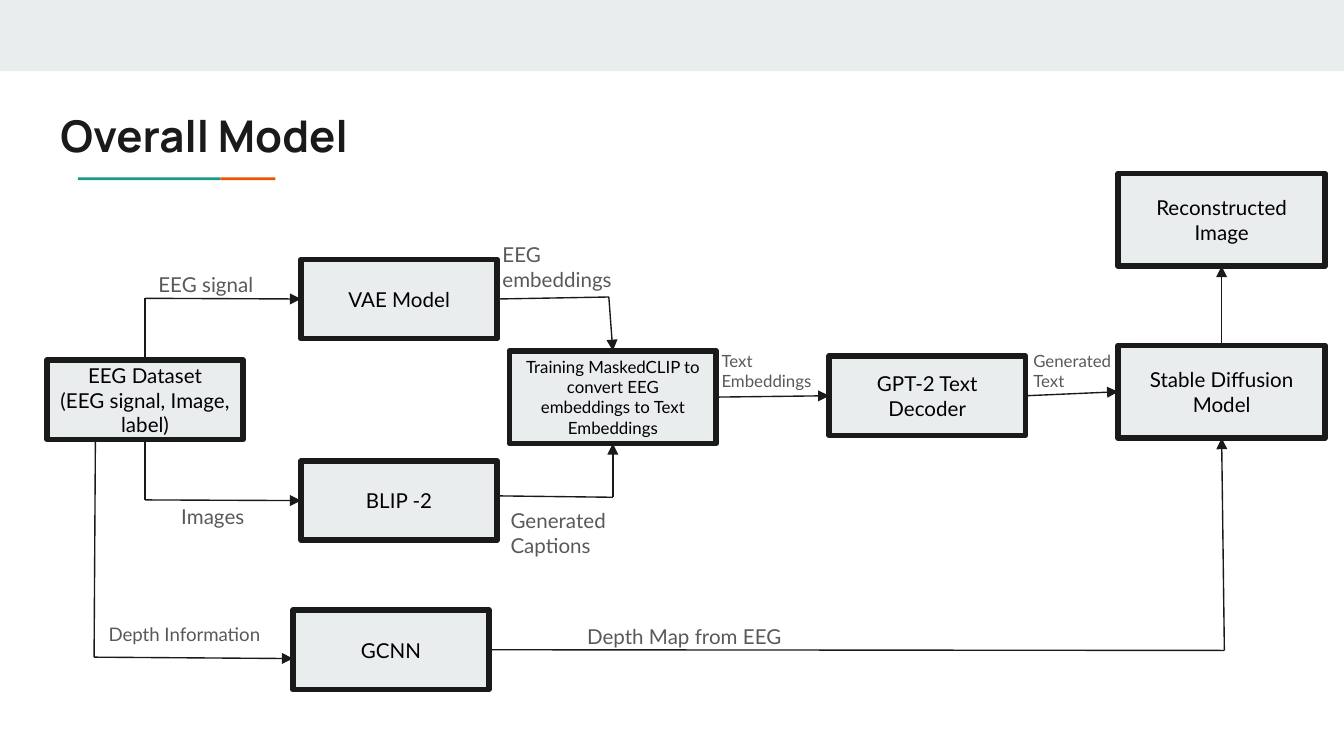
from dataclasses import dataclass
from typing import Optional, Union

from lxml import etree
from pptx import Presentation
from pptx.dml.color import RGBColor
from pptx.enum.shapes import MSO_CONNECTOR, MSO_SHAPE
from pptx.enum.text import MSO_ANCHOR, PP_ALIGN
from pptx.oxml.ns import qn
from pptx.util import Inches, Pt

RECTANGLE = MSO_SHAPE.RECTANGLE
STRAIGHT = MSO_CONNECTOR.STRAIGHT
MIDDLE, TOP_ANCHOR = MSO_ANCHOR.MIDDLE, MSO_ANCHOR.TOP
LEFT_ALIGN, CENTER = PP_ALIGN.LEFT, PP_ALIGN.CENTER
TOP, LEFT, BOTTOM, RIGHT = range(4)  # connection sites of a rectangle


@dataclass(frozen=True)
class Theme:
    ink: str = "1A1A1A"
    panel: str = "E9EDEE"
    box_text: str = "000000"
    label_text: str = "595959"
    green: str = "1A9988"
    orange: str = "EB5600"
    heading_font: str = "Manrope"
    body_font: str = "Lato"
    heading_size: float = 23.4
    body_size: float = 11
    medium_size: float = 10
    small_size: float = 9
    border: float = 3
    wire: float = 0.75


THEME = Theme()


@dataclass(frozen=True)
class Box:
    text: str
    left: float
    top: float
    width: float = 1.46
    height: float = 0.59
    size: float = THEME.body_size


@dataclass(frozen=True)
class Label:
    text: str
    left: float
    top: float
    width: float
    height: float = 0.23
    size: float = THEME.body_size


@dataclass(frozen=True)
class Port:
    box: str
    side: int


@dataclass(frozen=True)
class Point:
    x: float
    y: float


@dataclass(frozen=True)
class Wire:
    start: Union[Port, Point]
    end: Union[Port, Point]
    arrow: bool = False


WIDE = {"width": 1.54, "height": 0.69}
BOXES = {
    "dataset": Box("EEG Dataset\n(EEG signal, Image, label)", 0.35, 2.68),
    "vae": Box("VAE Model", 2.24, 1.93),
    "blip": Box("BLIP -2", 2.24, 3.43),
    "gcnn": Box("GCNN", 2.18, 4.54),
    "clip": Box("Training MaskedCLIP to convert EEG embeddings to Text Embeddings",
                3.79, 2.61, size=THEME.small_size, **WIDE),
    "decoder": Box("GPT-2 Text Decoder", 6.17, 2.65),
    "diffusion": Box("Stable Diffusion Model", 8.32, 2.57, **WIDE),
    "result": Box("Reconstructed Image", 8.32, 1.29, **WIDE),
}

LABELS = [
    Label("EEG signal", 1.08, 1.93, 1.29),
    Label("Images", 1.25, 3.66, 1.29),
    Label("EEG embeddings", 3.64, 1.7, 1.1),
    Label("Generated Captions", 3.7, 3.68, 1.38),
    Label("Generated Text", 7.59, 2.51, 0.9, size=THEME.small_size),
    Label("Depth Map from EEG", 4.27, 4.55, 1.76),
    Label("Depth Information", 0.71, 4.55, 1.76, size=THEME.medium_size),
    Label("Text Embeddings", 5.27, 2.51, 0.95, 0.35, THEME.small_size),
]

# Corners where the routes turn
SIGNAL_TURN = Point(1.08, 2.22)
IMAGE_TURN = Point(1.08, 3.72)
DEPTH_TURN = Point(0.7, 4.89)
EMBEDDING_TURN = Point(4.53, 2.21)
CAPTION_TURN = Point(4.56, 3.7)
MAP_TURN = Point(9.11, 4.84)

WIRES = [
    Wire(Port("dataset", TOP), SIGNAL_TURN),
    Wire(SIGNAL_TURN, Port("vae", LEFT), True),
    Wire(Port("dataset", BOTTOM), IMAGE_TURN),
    Wire(IMAGE_TURN, Port("blip", LEFT), True),
    Wire(Point(0.71, 3.26), DEPTH_TURN),
    Wire(DEPTH_TURN, Point(2.18, 4.9), True),
    Wire(Port("vae", RIGHT), EMBEDDING_TURN),
    Wire(EMBEDDING_TURN, Port("clip", TOP), True),
    Wire(Point(3.71, 3.69), CAPTION_TURN),
    Wire(CAPTION_TURN, Port("clip", BOTTOM), True),
    Wire(Port("gcnn", RIGHT), MAP_TURN),
    Wire(MAP_TURN, Port("diffusion", BOTTOM), True),
    Wire(Port("clip", RIGHT), Port("decoder", LEFT), True),
    Wire(Port("decoder", RIGHT), Port("diffusion", LEFT), True),
    Wire(Port("diffusion", TOP), Port("result", BOTTOM), True),
]


def color(code: str) -> RGBColor:
    return RGBColor.from_string(code)


def write(shape, text: str, size: float, ink: str, font: str = THEME.body_font,
          bold: bool = False, align=LEFT_ALIGN, anchor=TOP_ANCHOR) -> None:
    frame = shape.text_frame
    frame.word_wrap = True
    frame.vertical_anchor = anchor
    frame.margin_left = frame.margin_right = Inches(0.1)
    frame.margin_top = frame.margin_bottom = Inches(0.1)
    para = frame.paragraphs[0]
    para.text = text
    para.alignment = align
    para.font.name, para.font.size, para.font.bold = font, Pt(size), bold
    para.font.color.rgb = color(ink)


def add_panel(page, left: float, top: float, width: float, height: float,
              fill: str, border: Optional[str] = None):
    panel = page.shapes.add_shape(RECTANGLE, Inches(left), Inches(top),
                                  Inches(width), Inches(height))
    panel.shadow.inherit = False
    panel.fill.solid()
    panel.fill.fore_color.rgb = color(fill)
    if border:
        panel.line.color.rgb = color(border)
        panel.line.width = Pt(THEME.border)
    else:
        panel.line.fill.background()
    return panel


def add_box(page, box: Box):
    shape = add_panel(page, box.left, box.top, box.width, box.height, THEME.panel, THEME.ink)
    write(shape, box.text, box.size, THEME.box_text, align=CENTER, anchor=MIDDLE)
    return shape


def add_label(page, label: Label) -> None:
    shape = page.shapes.add_textbox(Inches(label.left), Inches(label.top),
                                    Inches(label.width), Inches(label.height))
    write(shape, label.text, label.size, THEME.label_text)


def locate(end: Union[Port, Point]) -> Point:
    if isinstance(end, Point):
        return end
    box = BOXES[end.box]
    across, down = {TOP: (0.5, 0), LEFT: (0, 0.5), BOTTOM: (0.5, 1), RIGHT: (1, 0.5)}[end.side]
    return Point(box.left + across * box.width, box.top + down * box.height)


def add_wire(page, wire: Wire, shapes: dict) -> None:
    start, end = locate(wire.start), locate(wire.end)
    line = page.shapes.add_connector(STRAIGHT, Inches(start.x), Inches(start.y),
                                     Inches(end.x), Inches(end.y))
    if isinstance(wire.start, Port):
        line.begin_connect(shapes[wire.start.box], wire.start.side)
    if isinstance(wire.end, Port):
        line.end_connect(shapes[wire.end.box], wire.end.side)
    line.line.color.rgb = color(THEME.ink)
    line.line.width = Pt(THEME.wire)
    properties = line._element.spPr
    if wire.arrow:
        etree.SubElement(properties.find(qn("a:ln")), qn("a:tailEnd"), type="triangle")
    etree.SubElement(properties, qn("a:effectLst"))


def main() -> None:
    deck = Presentation()
    deck.slide_width = Inches(10)
    deck.slide_height = Inches(10 * 9 / 16)  # widescreen
    page = deck.slides.add_slide(deck.slide_layouts[6])

    # Top band, title and two-colour underline
    add_panel(page, 0, 0, 10, 0.53, THEME.panel)
    title = page.shapes.add_textbox(Inches(0.35), Inches(0.71), Inches(8.41), Inches(0.59))
    write(title, "Overall Model", THEME.heading_size, THEME.ink, THEME.heading_font, bold=True)
    add_panel(page, 0.58, 1.32, 1.06, 0.02, THEME.green)
    add_panel(page, 1.64, 1.32, 0.41, 0.02, THEME.orange)

    # Flow diagram
    shapes = {name: add_box(page, box) for name, box in BOXES.items()}
    for wire in WIRES:
        add_wire(page, wire, shapes)
    for label in LABELS:
        add_label(page, label)

    deck.save("out.pptx")


if __name__ == "__main__":
    main()
